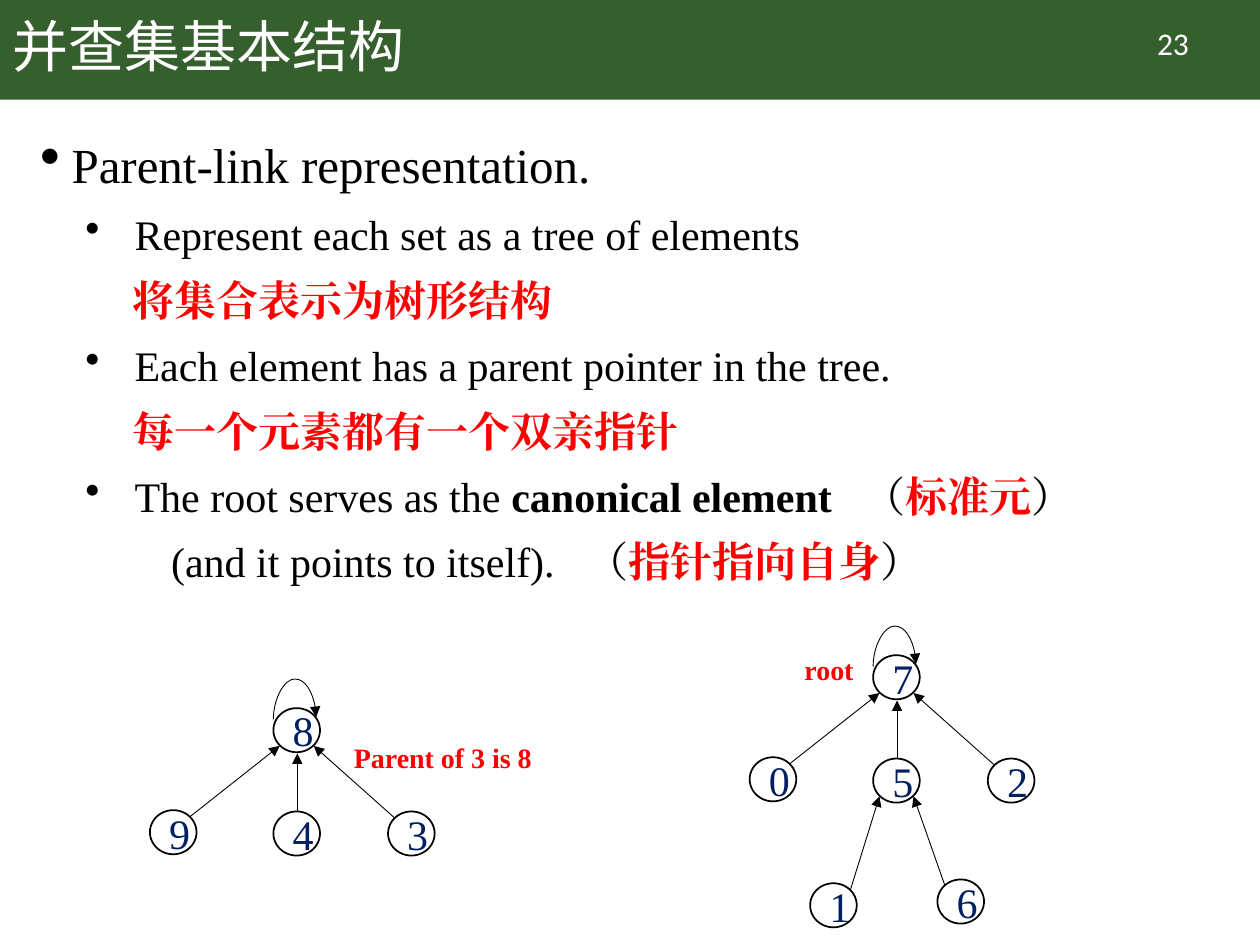
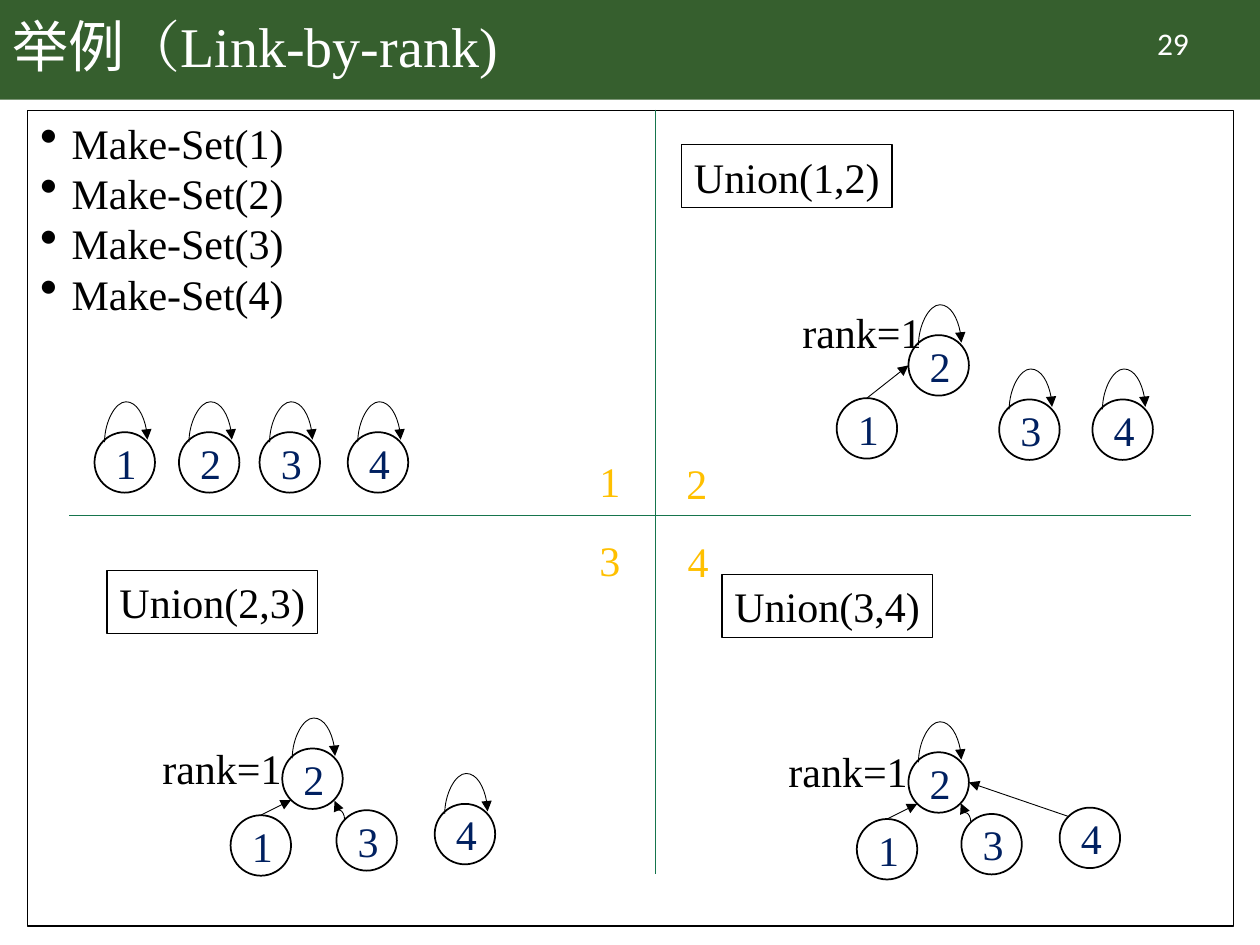
import pptx
import pptx.dml.color
import pptx.enum.shapes
import pptx.enum.text
import pptx.oxml.ns
import pptx.util
from lxml import etree

PX = 9144  # 100 px to the inch
SERIF, SANS, CHINESE = "Times New Roman", "Calibri", "Noto Sans CJK SC"
BLACK, WHITE, RED, NAVY = "000000", "FFFFFF", "FF0000", "002060"
BAND_GREEN, DIVIDER_GREEN, GOLD = "365F2E", "16754D", "FFC000"
LEFT, CENTER = pptx.enum.text.PP_ALIGN.LEFT, pptx.enum.text.PP_ALIGN.CENTER
TOP, MIDDLE = pptx.enum.text.MSO_ANCHOR.TOP, pptx.enum.text.MSO_ANCHOR.MIDDLE
CONNECTOR = pptx.enum.shapes.MSO_CONNECTOR
SHAPE = pptx.enum.shapes.MSO_SHAPE
qn = pptx.oxml.ns.qn


def rgb(hex_string):
    return pptx.dml.color.RGBColor.from_string(hex_string)


def write_text(shape, text, size=24, font=SERIF, color=BLACK, bold=False, tracking=0,
               same_line=False, align=LEFT, anchor=TOP, wrap=True, line_spacing=None,
               margin=0, indent=0, bullet_percent=None):
    """Add a paragraph to the shape, or a run to its last paragraph if same_line."""
    frame = shape.text_frame
    if not same_line:
        frame.word_wrap = wrap
        frame.vertical_anchor = anchor
        if not wrap:
            frame.auto_size = pptx.enum.text.MSO_AUTO_SIZE.SHAPE_TO_FIT_TEXT
        if frame.paragraphs[0].runs:
            frame.add_paragraph()
        paragraph = frame.paragraphs[-1]
        properties = paragraph._p.get_or_add_pPr()
        properties.set("marL", str(margin * PX))
        properties.set("indent", str(indent * PX))
        if bullet_percent:
            bullet_color = etree.SubElement(properties, qn("a:buClr"))
            etree.SubElement(bullet_color, qn("a:srgbClr"), val=BLACK)
            etree.SubElement(properties, qn("a:buSzPct"), val=str(bullet_percent * 1000))
            etree.SubElement(properties, qn("a:buChar"), char="•")
        paragraph.alignment = align
        if line_spacing:
            paragraph.line_spacing = line_spacing
    run = frame.paragraphs[-1].add_run()
    run.text = text
    run.font.size = pptx.util.Pt(size)
    run.font.bold = bold
    run.font.color.rgb = rgb(color)
    run.font.name = font
    run_properties = run._r.get_or_add_rPr()
    etree.SubElement(run_properties, qn("a:ea"), typeface=font)
    if tracking:
        run_properties.set("spc", str(tracking * 100))


presentation = pptx.Presentation()
presentation.slide_width = 1000 * PX
presentation.slide_height = 750 * PX

# Green band, title, slide number and body box on both slides
bodies = []
for title_runs, number in [
    ([("并查集基本结构", CHINESE)], "23"),
    ([("举例", CHINESE), ("（Link-by-rank)", SERIF)], "29"),
]:
    slide = presentation.slides.add_slide(presentation.slide_layouts[6])
    band = slide.shapes.add_shape(SHAPE.RECTANGLE, 0, 0, 1000 * PX, 79 * PX)
    band.shadow.inherit = False
    band.fill.solid()
    band.fill.fore_color.rgb = rgb(BAND_GREEN)
    band.line.fill.background()
    title = slide.shapes.add_textbox(0, 0, 862 * PX, 79 * PX)
    for index, (text, font) in enumerate(title_runs):
        write_text(title, text, size=32, font=font, color=WHITE, anchor=MIDDLE,
                   line_spacing=0.9, same_line=index > 0)
    number_box = slide.shapes.add_textbox(871 * PX, 14 * PX, 120 * PX, 40 * PX)
    write_text(number_box, number, size=18, font=SANS, color=WHITE, align=CENTER)
    bodies.append(slide.shapes.add_textbox(22 * PX, 88 * PX, 957 * PX, 647 * PX))
structure_slide, example_slide = presentation.slides
structure_body, example_body = bodies

# Slide 1: body text
heading = dict(margin=25, indent=-39, bullet_percent=120)
point = dict(margin=75, indent=-39, bullet_percent=100, line_spacing=1.3)
translation = dict(margin=73, line_spacing=1.3, color=RED, bold=True)
write_text(structure_body, "Parent-link representation.", size=28, line_spacing=1.3, **heading)
for english, chinese in [
    ("Represent each set as a tree of elements", "将集合表示为树形结构"),
    ("Each element has a parent pointer in the tree.", "每一个元素都有一个双亲指针"),
]:
    write_text(structure_body, english, **point)
    write_text(structure_body, chinese, **translation)
for opening, emphasis, chinese, layout in [
    ("The root serves as the ", "canonical element", "标准元", point),
    ("(and it points to itself).", "", "指针指向自身", dict(margin=104, line_spacing=1.3)),
]:
    write_text(structure_body, opening, **layout)
    if emphasis:
        write_text(structure_body, emphasis, bold=True, same_line=True)
    write_text(structure_body, " ", tracking=12, same_line=True)
    write_text(structure_body, "（", same_line=True)
    write_text(structure_body, chinese, color=RED, bold=True, same_line=True)
    write_text(structure_body, "）", same_line=True)

# Slide 2: framed list, quadrant numbers and operations
example_body.line.color.rgb = rgb(BLACK)
example_body.line.width = pptx.util.Pt(0.75)
for element in range(1, 5):
    write_text(example_body, f"Make-Set({element})", **heading)
for number, left, top in [("1", 466, 349), ("2", 535, 350), ("3", 466, 411), ("4", 536, 412)]:
    quadrant = example_slide.shapes.add_textbox(left * PX, top * PX, 60 * PX, 70 * PX)
    write_text(quadrant, number, color=GOLD, line_spacing=1.2)
for operation, left, top in [
    ("Union(3,4)", 573, 456), ("Union(2,3)", 85, 453), ("Union(1,2)", 541, 115),
]:
    box = example_slide.shapes.add_textbox(left * PX, top * PX, 167 * PX, 50 * PX)
    box.line.color.rgb = rgb(BLACK)
    box.line.width = pptx.util.Pt(0.75)
    write_text(box, operation, wrap=False)

# Trees: positions are measured from the corner of each tree's first node
small = dict(slide=structure_slide, size=(37, 35), loop_offset=(0, 9),
             label_format=dict(size=16, color=RED, bold=True, align=CENTER))
large = dict(slide=example_slide, size=(48, 48), loop_offset=(8, 8), label_format={})
fan_edges = [(-66, 86, 5, 30), (96, 87, 32, 30), (19, 82, 19, 36)]
rank_edge = (-17, 53, 7, 41)
rank_label = ("rank=1", -105, -10, 116, 50)
trees = [
    dict(small, origin=(217, 562), loops="8", edges=fan_edges,
         nodes=[("8", 0, 0), ("4", 0, 82), ("3", 91, 82), ("9", -98, 81)],
         label=("Parent of 3 is 8", 53, 21, 163, 37)),
    dict(small, origin=(693, 520), loops="7",
         edges=fan_edges + [(-18, 186, 5, 112), (57, 183, 32, 112)],
         nodes=[("7", 0, 0), ("5", 0, 82), ("2", 91, 82), ("0", -98, 81),
                ("6", 51, 178), ("1", -50, 181)],
         label=("root", -65, -7, 60, 37)),
    dict(large, origin=(75, 343), loops="1234", edges=[],
         nodes=[("1", 0, 0), ("2", 67, 0), ("3", 131, 0), ("4", 201, 0)]),
    dict(large, origin=(721, 266), loops="234", edges=[(-33, 50, 0, 24)],
         nodes=[("2", 0, 0), ("1", -57, 50), ("3", 72, 51), ("4", 146, 51)],
         label=("rank=1", -94, -28, 116, 50)),
    dict(large, origin=(224, 594), loops="24", edges=[rank_edge], hook=(38, 45),
         nodes=[("2", 0, 0), ("1", -41, 53), ("3", 43, 49), ("4", 121, 44)],
         label=rank_label),
    dict(large, origin=(721, 597), loops="2", edges=[rank_edge, (127, 51, 48, 24)],
         hook=(38, 44), label=rank_label,
         nodes=[("2", 0, 0), ("1", -41, 53), ("3", 42, 49), ("4", 120, 44)]),
]

# Each line: shapes, begin and end, colour, arrowhead, rotation in degrees, bend
lines = [
    (example_slide.shapes, (55, 409, 945, 409), DIVIDER_GREEN, False, 0, 0),
    (example_slide.shapes, (520, 87, 520, 694), DIVIDER_GREEN, False, 0, 0),
]
for tree in trees:
    shapes = tree["slide"].shapes.add_group_shape().shapes
    origin_x, origin_y = tree["origin"]
    width, height = tree["size"]
    for name, offset_x, offset_y in tree["nodes"]:
        left, top = origin_x + offset_x, origin_y + offset_y
        node = shapes.add_shape(SHAPE.OVAL, left * PX, top * PX, width * PX, height * PX)
        node.shadow.inherit = False
        node.fill.background()
        node.line.color.rgb = rgb(BLACK)
        node.line.width = pptx.util.Pt(1)
        write_text(node, name, color=NAVY, align=CENTER, anchor=MIDDLE)
        if name in tree["loops"]:
            loop_x = left + tree["loop_offset"][0] + 16
            loop_y = top + tree["loop_offset"][1] - 18
            ends = (loop_x + 2, loop_y + 34, loop_x, loop_y)
            lines.append((shapes, ends, BLACK, True, 90, 16))
    for x1, y1, x2, y2 in tree["edges"]:
        ends = (origin_x + x1, origin_y + y1, origin_x + x2, origin_y + y2)
        lines.append((shapes, ends, BLACK, True, 0, 0))
    if "hook" in tree:
        hook_x, hook_y = origin_x + tree["hook"][0], origin_y + tree["hook"][1]
        ends = (hook_x, hook_y + 8, hook_x + 15, hook_y)
        lines.append((shapes, ends, BLACK, True, 270, 0.5))
    if "label" in tree:
        text, offset_x, offset_y, label_width, label_height = tree["label"]
        label = shapes.add_textbox((origin_x + offset_x) * PX, (origin_y + offset_y) * PX,
                                   label_width * PX, label_height * PX)
        write_text(label, text, wrap=False, **tree["label_format"])

for shapes, ends, color, has_arrow, rotation, bend in lines:
    kind = CONNECTOR.CURVE if rotation else CONNECTOR.STRAIGHT
    connector = shapes.add_connector(kind, *(end * PX for end in ends))
    connector.line.color.rgb = rgb(color)
    connector.line.width = pptx.util.Pt(0.5)
    properties = connector.element.spPr
    if has_arrow:
        etree.SubElement(properties.find(qn("a:ln")), qn("a:tailEnd"), type="triangle")
    if rotation:
        properties.find(qn("a:xfrm")).set("rot", str(rotation * 60000))
        adjustments = properties.find(qn("a:prstGeom")).get_or_add_avLst()
        etree.SubElement(adjustments, qn("a:gd"), name="adj1", fmla=f"val {int(bend * 100000)}")
    etree.SubElement(properties, qn("a:effectLst"))

presentation.save("out.pptx")
